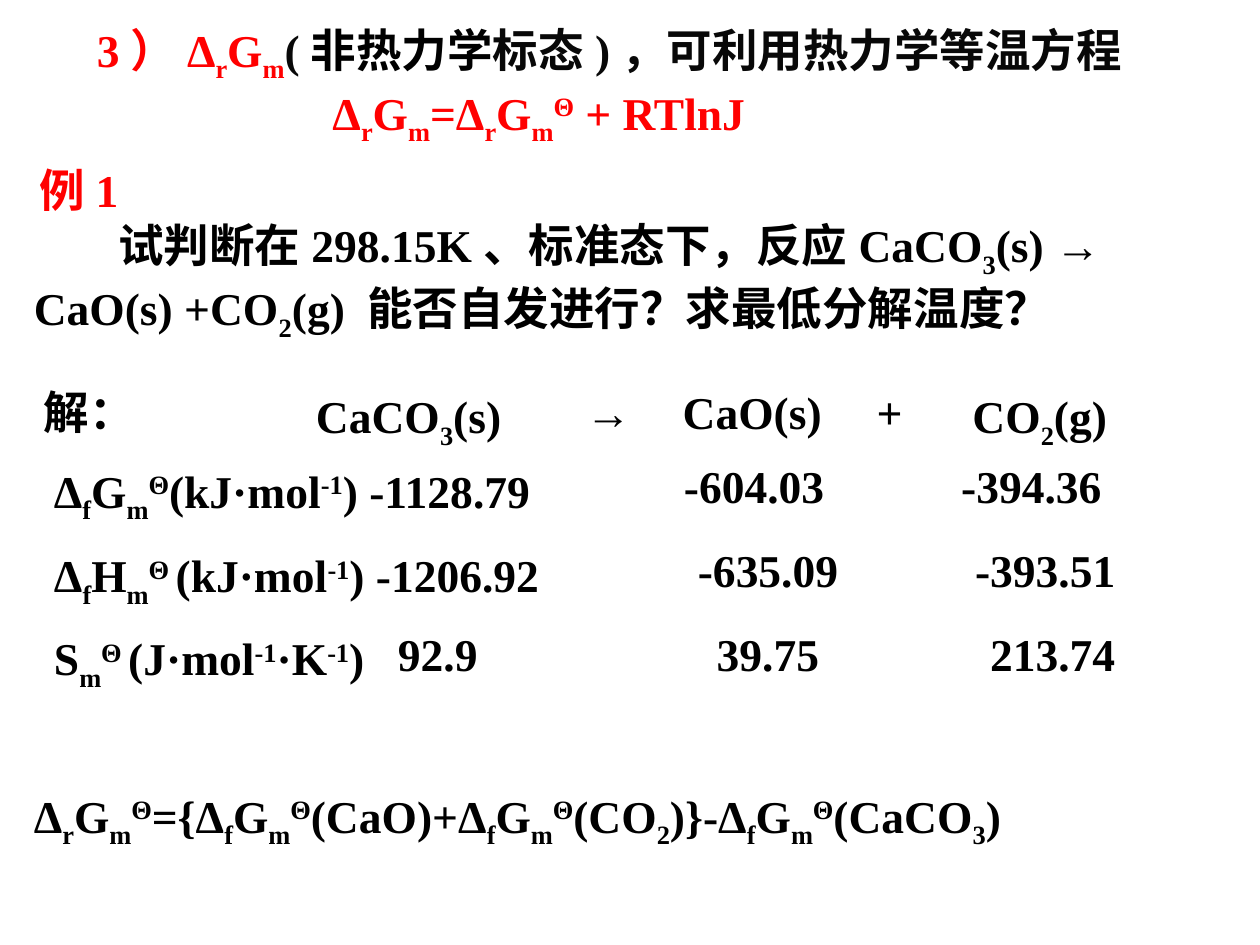
from itertools import groupby

from pptx import Presentation
from pptx.dml.color import RGBColor
from pptx.enum.shapes import MSO_SHAPE
from pptx.enum.text import MSO_ANCHOR, MSO_AUTO_SIZE, PP_ALIGN
from pptx.util import Inches, Pt

RECTANGLE = MSO_SHAPE.RECTANGLE
TOP = MSO_ANCHOR.TOP
FIT_SHAPE = MSO_AUTO_SIZE.SHAPE_TO_FIT_TEXT
LEFT, CENTER = PP_ALIGN.LEFT, PP_ALIGN.CENTER

FONT = "Times New Roman"
BLACK, DARK, RED, WHITE = "000000", "080808", "FF0000", "FFFFFF"
# Inline marks: ~subscript~ and ^superscript^
BASELINES = {"~": -25, "^": 30}


def color(hex_string):
    return RGBColor.from_string(hex_string)


def split_marks(text):
    """Return (words, baseline) pairs for text with inline marks."""
    baseline, marked = 0, []
    for letter in text:
        if letter in BASELINES:
            baseline = 0 if baseline else BASELINES[letter]
        else:
            marked.append((letter, baseline))
    return [("".join(letter for letter, _ in group), level)
            for level, group in groupby(marked, key=lambda pair: pair[1])]


def add_formula_text(para, text, hex_string):
    for words, baseline in split_marks(text):
        span = para.add_run()
        span.text = words
        font = span.font
        font.name, font.size, font.bold = FONT, Pt(26), True
        font.color.rgb = color(hex_string)
        if baseline:
            span._r.get_or_add_rPr().set("baseline", str(baseline * 1000))


def add_line(page, place, segments, spacing=0.8, indent=0,
             filled=False, wrap=True, align=LEFT):
    lengths = [Inches(value) for value in place]
    if filled:
        box = page.shapes.add_shape(RECTANGLE, *lengths)
        box.shadow.inherit = False
        box.fill.solid()
        box.fill.fore_color.rgb = color(WHITE)
        box.line.fill.background()
    else:
        box = page.shapes.add_textbox(*lengths)
    frame = box.text_frame
    frame.word_wrap = wrap
    frame.auto_size = FIT_SHAPE
    frame.vertical_anchor = TOP
    para = frame.paragraphs[0]
    if indent:
        para._p.get_or_add_pPr().set("indent", str(Inches(indent)))
    para.alignment = align
    para.line_spacing = spacing
    for text, hex_string in segments:
        add_formula_text(para, text, hex_string)


def add_data_row(page, place, label, cells):
    """Add a full-width row with its label, then its cells by column."""
    add_line(page, place, [(label, BLACK)], filled=True)
    for left, width, text in cells:
        add_line(page, (left, place[1], width, 0.5), [(text, BLACK)])


def add_data_rows(page):
    # Reaction header
    add_data_row(page, (0.25, 3.08, 9.5, 0.5), "解：", [
        (2.41, 1.8, "CaCO~3~(s)"), (4.55, 0.6, "→"), (5.32, 1.4, "CaO(s)"),
        (6.86, 0.5, "+"), (7.62, 1.4, "CO~2~(g)")])
    # Thermodynamic values of the three substances
    rows = [
        ("Δ~f~G~m~^Θ^(kJ·mol^-1^) -1128.79", 9.33,
         [(5.33, 1.5, "-604.03"), (7.53, 1.5, "-394.36")]),
        ("Δ~f~H~m~^Θ ^(kJ·mol^-1^) -1206.92", 9.42,
         [(5.44, 1.5, "-635.09"), (7.64, 1.5, "-393.51")]),
        ("S~m~^Θ ^(J·mol^-1^·K^-1^)", 9.42,
         [(3.06, 1, "92.9"), (5.59, 1.3, "39.75"), (7.76, 1.5, "213.74")]),
    ]
    for index, (label, width, cells) in enumerate(rows):
        top = round(3.67 + index * 2 / 3, 2)
        add_data_row(page, (0.33, top, width, 0.5), label, cells)


def main():
    deck = Presentation()
    deck.slide_width, deck.slide_height = Inches(10), Inches(7.5)
    page = deck.slides.add_slide(deck.slide_layouts[6])

    # Data and resulting equation
    add_data_rows(page)
    add_line(page, (0.17, 6.08, 9.56, 0.72),
             [("Δ~r~G~m~^Θ^={Δ~f~G~m~^Θ^(CaO)+Δ~f~G~m~^Θ^(CO~2~)}"
               "-Δ~f~G~m~^Θ^(CaCO~3~)", BLACK)], spacing=1.25)

    # Isothermal equation and its heading
    add_line(page, (1.75, 0.67, 6.25, 0.5),
             [("Δ~r~G~m~=Δ~r~G~m~^Θ^ + RTlnJ", RED)],
             indent=0.79, filled=True)
    add_line(page, (0.67, 0.17, 8.42, 0.5),
             [("3）Δ~r~G~m~", RED), ("(", DARK), ("非热力学", BLACK),
              ("标态)，可利用热力学等温方程", DARK)])

    # Example question and its label
    add_line(page, (0.17, 1.67, 9.33, 1.1),
             [("试判断在298.15K、标准态下，反应CaCO~3~(s) → CaO(s) +CO~2~(g) "
               "能否自发进行？求最低分解温度？", BLACK)],
             spacing=Pt(36), indent=0.67, filled=True)
    add_line(page, (0.21, 1.17, 0.83, 0.6), [("例1", RED)],
             spacing=Pt(36), wrap=False, align=CENTER)

    deck.save("out.pptx")


if __name__ == "__main__":
    main()
